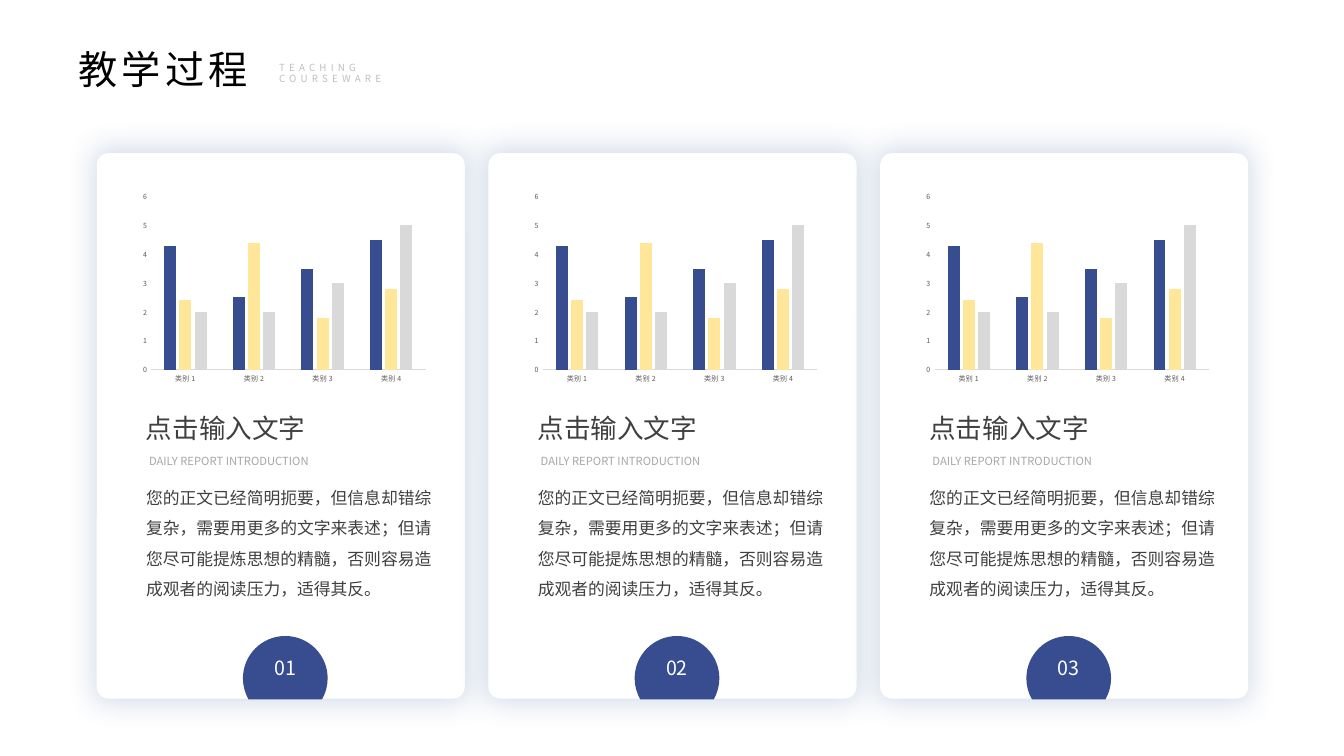
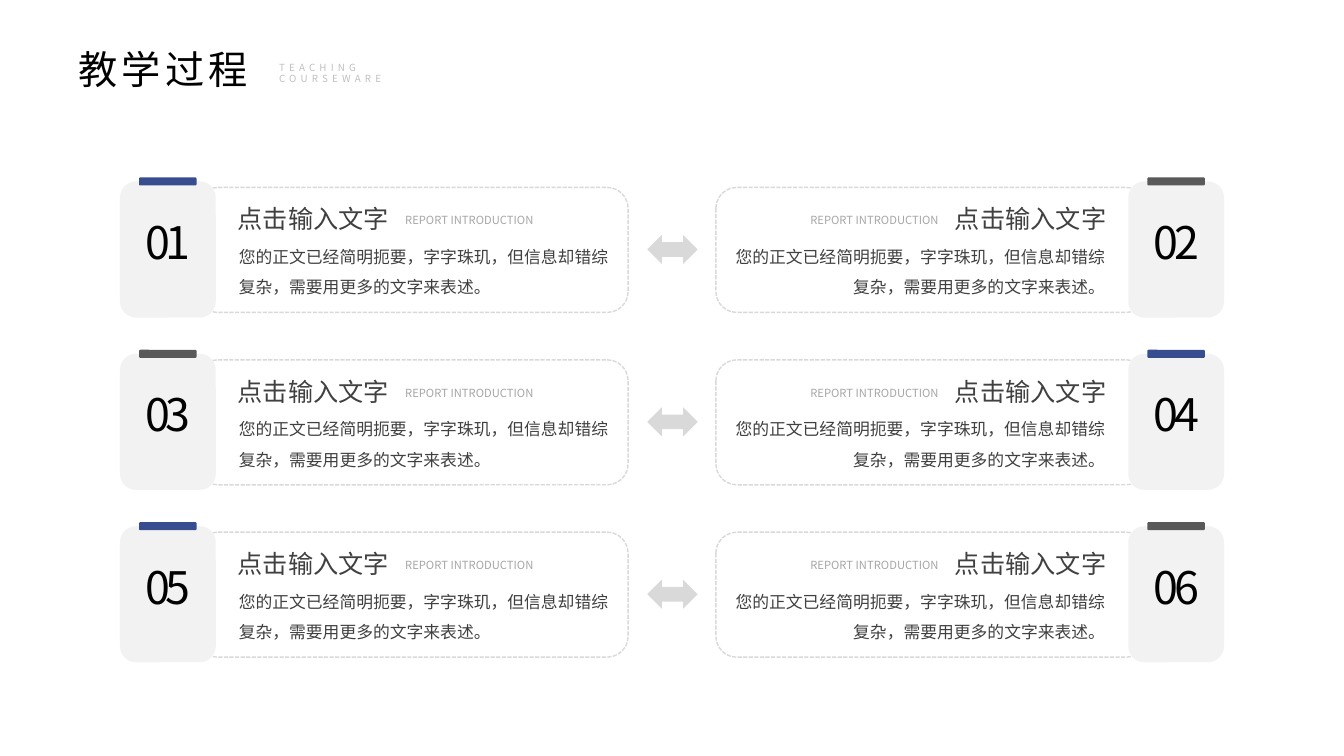
from math import cos, radians, sin, tan

from lxml import etree
from pptx import Presentation
from pptx.chart.data import CategoryChartData
from pptx.dml.color import RGBColor
from pptx.enum.chart import XL_CHART_TYPE, XL_TICK_MARK
from pptx.enum.dml import MSO_LINE
from pptx.enum.shapes import MSO_SHAPE
from pptx.enum.text import MSO_ANCHOR, MSO_AUTO_SIZE, PP_ALIGN
from pptx.oxml.ns import qn
from pptx.util import Inches, Pt

ROUNDED = MSO_SHAPE.ROUNDED_RECTANGLE
DOUBLE_ARROW = MSO_SHAPE.LEFT_RIGHT_ARROW
COLUMNS = XL_CHART_TYPE.COLUMN_CLUSTERED
NO_TICK = XL_TICK_MARK.NONE
DASH = MSO_LINE.SQUARE_DOT
MIDDLE = MSO_ANCHOR.MIDDLE
GROW = MSO_AUTO_SIZE.SHAPE_TO_FIT_TEXT
LEFT, CENTER, RIGHT = PP_ALIGN.LEFT, PP_ALIGN.CENTER, PP_ALIGN.RIGHT

FONT = "Noto Sans CJK SC"
BLUE, YELLOW, SILVER = "384D8F", "FFE699", "D9D9D9"
WHITE, BLACK, DARK, PALE = "FFFFFF", "000000", "595959", "F2F2F2"
SHADOW = "2F5597"

# Text styles shared by the slides
TITLE = {"size": 28, "color": BLACK, "spacing": 3}
SUBTITLE = {"size": 7, "color": "BFBFBF", "spacing": 3}
CARD_HEADING = {"size": 19, "color": "404040"}
ITEM_HEADING = {"size": 18, "color": "404040"}
CAPTION = {"size": 8, "color": "A6A6A6"}
BODY = {"size": 12, "color": "404040", "line_spacing": 1.5}
BADGE = {"size": 14, "color": WHITE}
NUMBER = {"size": 32, "color": BLACK, "spacing": -3}
AXIS = {"size": 5, "color": DARK}

HEADING_TEXT = "点击输入文字"
CARD_TEXT = ("您的正文已经简明扼要，但信息却错综复杂，需要用更多的文字来表述；"
             "但请您尽可能提炼思想的精髓，否则容易造成观者的阅读压力，适得其反。")
ITEM_TEXT = "您的正文已经简明扼要，字字珠玑，但信息却错综复杂，需要用更多的文字来表述。"

CATEGORIES = ["类别 1", "类别 2", "类别 3", "类别 4"]
SERIES = [
    ("Series 1", (4.3, 2.5, 3.5, 4.5), BLUE),
    ("Series 2", (2.4, 4.4, 1.8, 2.8), YELLOW),
    ("Series 3", (2, 2, 3, 5), SILVER),
]


def rgb(color):
    return RGBColor.from_string(color)


def inches(*lengths):
    return [Inches(length) for length in lengths]


# Text
def style_font(font, style):
    for name, value in {"size": Pt(style["size"]), "name": FONT}.items():
        setattr(font, name, value)
    font.color.rgb = rgb(style["color"])
    properties = font._element
    etree.SubElement(properties, qn("a:ea")).set("typeface", FONT)
    if "spacing" in style:
        properties.set("spc", str(style["spacing"] * 100))


def write(frame, lines, style, align=LEFT):
    frame.word_wrap = True
    for index, line in enumerate(lines):
        para = frame.add_paragraph() if index else frame.paragraphs[0]
        para.alignment = align
        if "line_spacing" in style:
            para.line_spacing = style["line_spacing"]
        span = para.add_run()
        span.text = line
        style_font(span.font, style)


def add_text(page, at, lines, style, align=LEFT):
    box = page.shapes.add_textbox(*inches(*at))
    box.text_frame.auto_size = GROW
    write(box.text_frame, lines, style, align)


# Shapes
def paint(shape, fill=None):
    shape.shadow.inherit = False
    shape.line.fill.background()
    if fill:
        shape.fill.solid()
        shape.fill.fore_color.rgb = rgb(fill)
    else:
        shape.fill.background()


def add_preset(page, kind, at, fill=None):
    shape = page.shapes.add_shape(kind, *inches(*at))
    paint(shape, fill)
    return shape


def add_glow(shape):
    effects = shape._element.spPr.find(qn("a:effectLst"))
    glow = etree.SubElement(effects, qn("a:outerShdw"))
    for name, value in {"blurRad": Pt(20), "dist": 0, "dir": 0, "sx": 102000,
                        "sy": 102000, "algn": "ctr", "rotWithShape": 0}.items():
        glow.set(name, str(value))
    color = etree.SubElement(glow, qn("a:srgbClr"))
    color.set("val", SHADOW)
    etree.SubElement(color, qn("a:alpha")).set("val", "20000")


def bend_lines(shape, angles, radius):
    """Turn the straight segments between the angles into circular arcs."""
    outline = shape._element.spPr.find(".//" + qn("a:path"))
    corners = [(int(point.get("x")), int(point.get("y")))
               for point in outline.iter(qn("a:pt"))]
    for index, line in enumerate(outline.findall(qn("a:lnTo"))):
        start, end = radians(angles[index]), radians(angles[index + 1])
        reach = 4 / 3 * tan((end - start) / 4) * Inches(radius)
        line.tag = qn("a:cubicBezTo")
        for place, (corner, angle, sign) in enumerate((
                (corners[index], start, 1), (corners[index + 1], end, -1))):
            handle = etree.Element(qn("a:pt"))
            handle.set("x", str(round(corner[0] - sign * reach * sin(angle))))
            handle.set("y", str(round(corner[1] + sign * reach * cos(angle))))
            line.insert(place, handle)


def add_badge(page, center_x, center_y, radius, label):
    """A disc cut off flat half a radius below its centre."""
    angles = (150, 180, 270, 360, 390)
    points = [inches(center_x + radius * cos(radians(angle)),
                     center_y + radius * sin(radians(angle)))
              for angle in angles]
    outline = page.shapes.build_freeform(*points[0])
    outline.add_line_segments(points[1:], close=True)
    badge = outline.convert_to_shape()
    bend_lines(badge, angles, radius)
    paint(badge, BLUE)
    badge.text_frame.vertical_anchor = MIDDLE
    write(badge.text_frame, [label], BADGE, CENTER)


# Chart
def add_columns(page, at):
    data = CategoryChartData()
    data.categories = CATEGORIES
    for name, values, _ in SERIES:
        data.add_series(name, values)
    chart = page.shapes.add_chart(COLUMNS, *inches(*at), data).chart
    chart.has_legend = chart.has_title = False
    style_font(chart.font, {"size": 5, "color": BLACK})

    plot = chart.plots[0]
    for name, value in {"gap_width": 219, "overlap": -27,
                        "vary_by_categories": False}.items():
        setattr(plot, name, value)
    for series, (_, _, color) in zip(plot.series, SERIES):
        series.format.fill.solid()
        series.format.fill.fore_color.rgb = rgb(color)

    for axis in (chart.category_axis, chart.value_axis):
        axis.major_tick_mark = axis.minor_tick_mark = NO_TICK
        axis.has_major_gridlines = False
        style_font(axis.tick_labels.font, AXIS)
    base_line = chart.category_axis.format.line
    base_line.color.rgb = rgb(SILVER)
    base_line.width = Pt(0.75)
    for name, value in {"minimum_scale": 0, "maximum_scale": 6,
                        "major_unit": 1}.items():
        setattr(chart.value_axis, name, value)
    chart.value_axis.format.line.fill.background()


# Regions
def add_page(deck):
    page = deck.slides.add_slide(deck.slide_layouts[6])
    add_text(page, (0.68, 0.4, 2.25, 0.57), ["教学过程"], TITLE)
    add_text(page, (2.67, 0.56, 1.93, 0.34), ["TEACHING", "COURSEWARE"], SUBTITLE)
    return page


def add_card(page, left, top, width, height, label):
    card = add_preset(page, ROUNDED, (left, top, width, height), WHITE)
    card.adjustments[0] = 0.032
    add_glow(card)
    add_columns(page, (left + 0.4, top + 0.34, 2.92, 1.99))
    add_badge(page, left + 1.87, top + height - 0.2, 0.42, label)
    add_text(page, (left + 0.39, top + 2.52, 2.8, 0.42), [HEADING_TEXT], CARD_HEADING)
    add_text(page, (left + 0.42, top + 2.94, 2.33, 0.24),
             ["DAILY REPORT INTRODUCTION"], CAPTION)
    add_text(page, (left + 0.39, top + 3.17, 3.15, 1.29), [CARD_TEXT], BODY)


def add_item(page, left, top, width, label, accent, mirrored):
    def place(x, y, part_width, part_height):
        offset = width - x - part_width if mirrored else x
        return left + offset, top + y, part_width, part_height

    align = RIGHT if mirrored else LEFT
    frame = add_preset(page, ROUNDED, place(0.76, 0.1, 4.28, 1.24))
    frame.line.color.rgb = rgb(SILVER)
    frame.line.width = Pt(1)
    frame.line.dash_style = DASH
    add_preset(page, ROUNDED, place(0, 0.04, 0.95, 1.35), PALE)
    add_preset(page, ROUNDED, place(0.19, 0, 0.57, 0.08), accent)
    add_text(page, place(-0.12, 0.32, 1.19, 0.66), [label], NUMBER, CENTER)
    add_text(page, place(1.07, 0.21, 1.83, 0.42), [HEADING_TEXT], ITEM_HEADING, align)
    add_text(page, place(2.73, 0.31, 2.14, 0.24),
             ["REPORT INTRODUCTION"], CAPTION, align)
    add_text(page, place(1.08, 0.54, 3.89, 0.7), [ITEM_TEXT], BODY, align)


# Slides
def build_cards(deck):
    page = add_page(deck)
    left, span, width, count = 0.96, 11.42, 3.65, 3
    pitch = (span - width) / (count - 1)
    for index in range(count):
        add_card(page, left + index * pitch, 1.52, width, 5.41, f"{index + 1:02}")


def build_items(deck):
    page = add_page(deck)
    lefts, width, pitch = (1.19, 7.1), 5.04, 1.71
    accents = (BLUE, DARK)
    for row in range(3):
        top = 1.76 + row * pitch
        for column, left in enumerate(lefts):
            add_item(page, left, top, width, f"{row * 2 + column + 1:02}",
                     accents[(row + column) % 2], column == 1)
        add_preset(page, DOUBLE_ARROW, (6.42, top + 0.57, 0.5, 0.29), SILVER)


def main():
    deck = Presentation()
    deck.slide_width, deck.slide_height = inches(13.33, 7.5)
    build_cards(deck)
    build_items(deck)
    deck.save("out.pptx")


if __name__ == "__main__":
    main()
